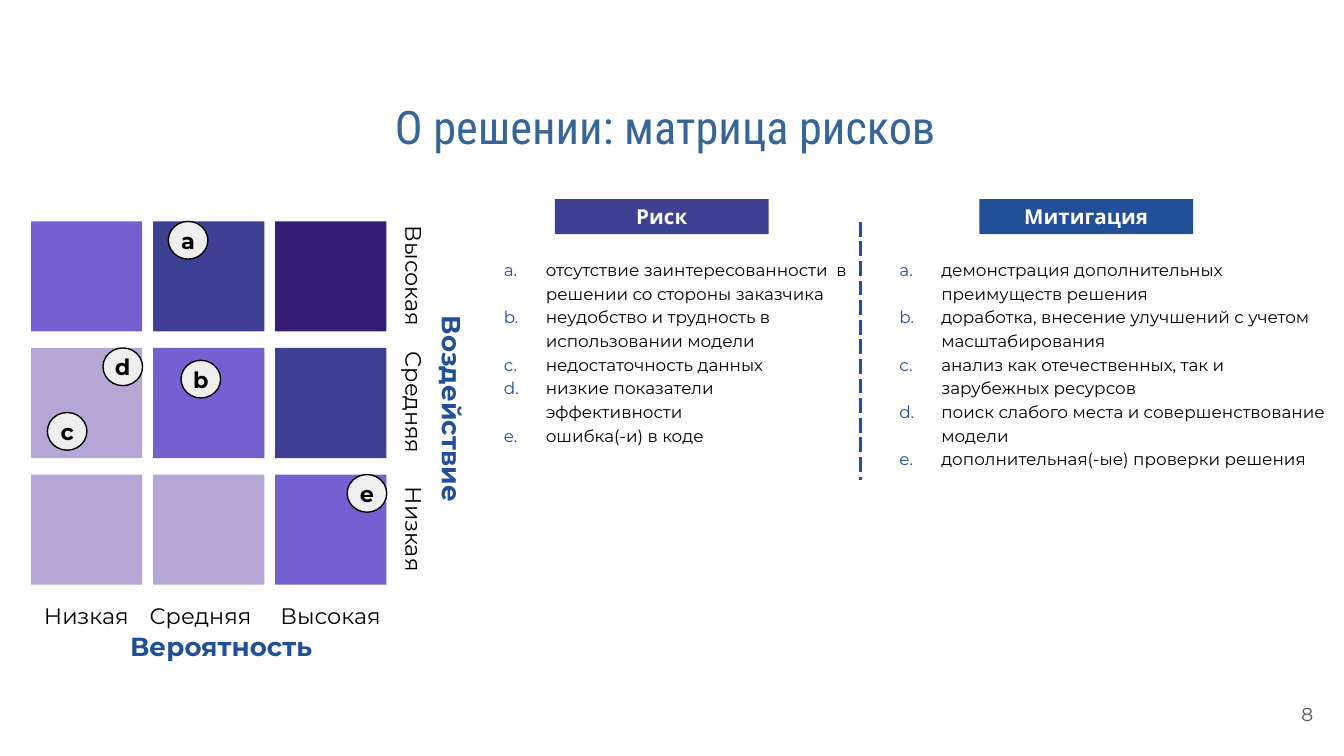
from lxml.etree import SubElement
from pptx import Presentation
from pptx.dml.color import RGBColor
from pptx.enum.shapes import MSO_SHAPE
from pptx.enum.text import MSO_ANCHOR, PP_ALIGN
from pptx.oxml import parse_xml
from pptx.oxml.ns import nsdecls, qn
from pptx.util import Pt

BLACK = RGBColor(0x00, 0x00, 0x00)
WHITE = RGBColor(0xFF, 0xFF, 0xFF)
GREY = RGBColor(0x59, 0x59, 0x59)
PALE = RGBColor(0xEE, 0xEE, 0xEE)
TITLE_BLUE = RGBColor(0x35, 0x66, 0x97)
BLUE = RGBColor(0x21, 0x4F, 0x98)
INDIGO = RGBColor(0x3E, 0x40, 0x94)
LILAC = RGBColor(0xB4, 0xA7, 0xD6)
VIOLET = RGBColor(0x76, 0x5F, 0xD1)
DARK_VIOLET = RGBColor(0x35, 0x1C, 0x75)
NO_STYLE_NO_GRID = "{2D5ABB26-0587-4C30-8999-92F81FD0307C}"

deck = Presentation()
deck.slide_width, deck.slide_height = Pt(720), Pt(405)
page = deck.slides.add_slide(deck.slide_layouts[6])


def write(box, text, size, color, bold=False, font="Montserrat",
          align=PP_ALIGN.CENTER, anchor=MSO_ANCHOR.TOP, inset=(7.2, 7.2)):
    """Put one formatted line in a box; inset is (sides, top and bottom)."""
    frame = box.text_frame
    frame.word_wrap = True
    frame.vertical_anchor = anchor
    frame.margin_left = frame.margin_right = Pt(inset[0])
    frame.margin_top = frame.margin_bottom = Pt(inset[1])
    frame.text = text
    paragraph = frame.paragraphs[0]
    paragraph.alignment = align
    span = paragraph.runs[0].font
    span.name, span.size, span.bold = font, Pt(size), bold
    span.color.rgb = color


def add_block(kind, left, top, width, height, color):
    shape = page.shapes.add_shape(kind, Pt(left), Pt(top), Pt(width), Pt(height))
    shape.shadow.inherit = False
    shape.fill.solid()
    shape.fill.fore_color.rgb = color
    shape.line.fill.background()
    return shape


# Title and page number
title = page.shapes.add_textbox(Pt(21), Pt(45.4), Pt(671), Pt(45.4))
write(title, "О решении: матрица рисков", 24.8, TITLE_BLUE, font="Roboto Condensed")
number = page.shapes.add_textbox(Pt(667.4), Pt(367.2), Pt(43.2), Pt(31))
write(number, "8", 10, GREY, align=PP_ALIGN.RIGHT, anchor=MSO_ANCHOR.MIDDLE)

# Risk matrix
MATRIX_LEFT, MATRIX_TOP = 16.6, 118.6
COLUMN_STEP, ROW_STEP = 65.4, 67.8
matrix = [
    (VIOLET, INDIGO, DARK_VIOLET),
    (LILAC, VIOLET, INDIGO),
    (LILAC, LILAC, VIOLET),
]
for row, colors in enumerate(matrix):
    for column, color in enumerate(colors):
        add_block(MSO_SHAPE.RECTANGLE, MATRIX_LEFT + column * COLUMN_STEP,
                  MATRIX_TOP + row * ROW_STEP, 59.6, 59, color)

# Axis labels: text, left, top, width, rotation, size, colour, bold
levels = ["Низкая", "Средняя", "Высокая"]
labels = [
    ("Вероятность", 59.8, 330.5, 117.4, 0, 14, BLUE, True),
    ("Воздействие", 182.4, 202.6, 118, 90, 14, BLUE, True),
]
for level, left in zip(levels, (10.3, 71.5, 141.1)):
    labels.append((level, left, 315.4, 72, 0, 12, BLACK, False))
for row, level in enumerate(reversed(levels)):
    labels.append((level, 185.8, 133.4 + row * ROW_STEP, 72, 90, 12, BLACK, False))
for text, left, top, width, rotation, size, color, bold in labels:
    label = page.shapes.add_textbox(Pt(left), Pt(top), Pt(width), Pt(size * 2 + 5))
    label.rotation = rotation
    write(label, text, size, color, bold)

# Risk markers
markers = {"a": (90.2, 118.6), "b": (97, 193), "c": (25.4, 221),
           "d": (55.2, 186.4), "e": (186, 254.2)}
for letter, (left, top) in markers.items():
    marker = add_block(MSO_SHAPE.OVAL, left, top, 21.2, 20.2, PALE)
    marker.line.color.rgb = BLACK
    marker.line.width = Pt(0.75)
    write(marker, letter, 12, BLACK, True, anchor=MSO_ANCHOR.MIDDLE, inset=(2.9, 0))

# Risks and mitigations, split by a dashed line
risks = [
    "отсутствие заинтересованности  в решении со стороны заказчика",
    "неудобство и трудность в использовании модели",
    "недостаточность данных",
    "низкие показатели эффективности",
    "ошибка(-и) в коде",
]
mitigations = [
    "демонстрация дополнительных преимуществ решения",
    "доработка, внесение улучшений с учетом масштабирования",
    "анализ как отечественных, так и зарубежных ресурсов",
    "поиск слабого места и совершенствование модели",
    "дополнительная(-ые) проверки решения",
]
table_frame = page.shapes.add_table(1, 2, Pt(249.2), Pt(118.8), Pt(470.4), Pt(137.6))
table = table_frame.table
table.first_row = table.horz_banding = False
table._tbl.tblPr.find(qn("a:tableStyleId")).text = NO_STYLE_NO_GRID
columns = ((risks, 211.9, "lnR"), (mitigations, 258.5, "lnL"))
for index, (items, width, divider) in enumerate(columns):
    table.columns[index].width = Pt(width)
    cell = table.cell(0, index)
    cell.margin_left = cell.margin_right = cell.margin_bottom = Pt(7.2)
    cell.margin_top = Pt(19)
    cell.fill.background()
    cell._tc.get_or_add_tcPr().insert(0, parse_xml(
        f'<a:{divider} {nsdecls("a")} w="{Pt(1.5)}"><a:solidFill>'
        f'<a:srgbClr val="{BLUE}"/></a:solidFill>'
        f'<a:prstDash val="dash"/></a:{divider}>'))
    cell.text_frame.text = "\n".join(items)
    for paragraph in cell.text_frame.paragraphs:
        paragraph.line_spacing = 1.15
        span = paragraph.runs[0].font
        span.name, span.size = "Montserrat", Pt(9)
        span.color.rgb = BLACK
        properties = paragraph._p.get_or_add_pPr()
        properties.set("marL", str(Pt(36)))
        properties.set("indent", str(Pt(-22.5)))
        bullet_color = SubElement(properties, qn("a:buClr"))
        SubElement(bullet_color, qn("a:srgbClr"), val=str(BLUE))
        SubElement(properties, qn("a:buFont"), typeface="Montserrat")
        SubElement(properties, qn("a:buAutoNum"), type="alphaLcPeriod")

# Column headings, in front of the table's upper edge
for text, left, color in (("Риск", 297.2, INDIGO), ("Митигация", 524.6, BLUE)):
    heading = add_block(MSO_SHAPE.RECTANGLE, left, 106.6, 114.6, 18.8, color)
    write(heading, text, 11, WHITE, True, font="Open Sans",
          anchor=MSO_ANCHOR.MIDDLE, inset=(2.9, 0))

deck.save("out.pptx")
